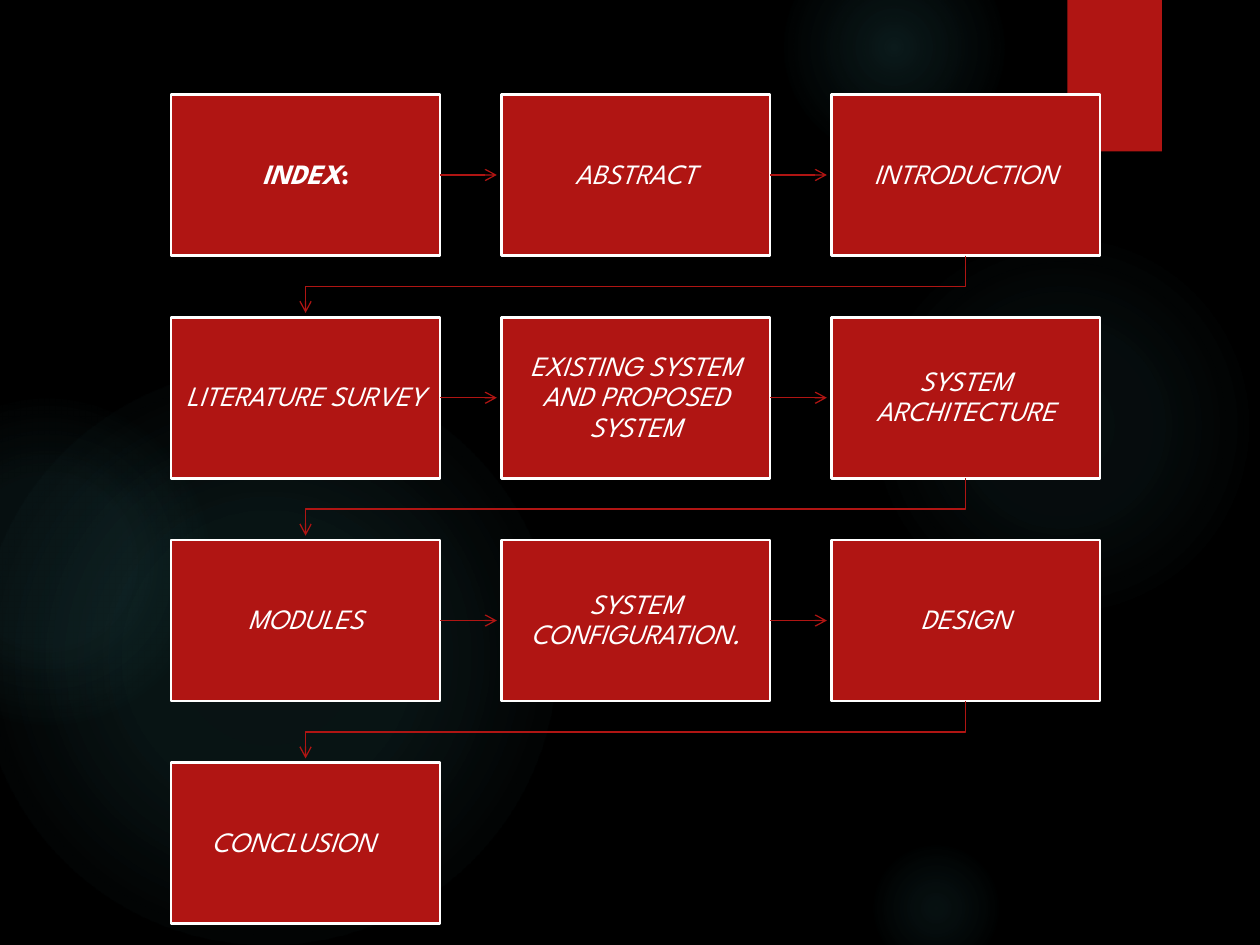
from lxml import etree
from pptx import Presentation
from pptx.dml.color import RGBColor
from pptx.enum.shapes import MSO_CONNECTOR, MSO_SHAPE
from pptx.enum.text import MSO_ANCHOR, PP_ALIGN
from pptx.oxml import parse_xml
from pptx.oxml.ns import nsdecls, qn
from pptx.util import Pt

RECTANGLE, OVAL = MSO_SHAPE.RECTANGLE, MSO_SHAPE.OVAL
STRAIGHT = MSO_CONNECTOR.STRAIGHT
MIDDLE, CENTER = MSO_ANCHOR.MIDDLE, PP_ALIGN.CENTER

COLORS = {"background": "000000", "red": "B01513", "white": "FFFFFF", "glow": "50B9C1"}
RED = RGBColor.from_string(COLORS["red"])
WHITE = RGBColor.from_string(COLORS["white"])


def write_text(shape, text, size=16, bold=False, upright_end="", shift=0):
    """Centre italic text in a shape; shift moves its centre to the left."""
    frame = shape.text_frame
    frame.word_wrap = True
    frame.vertical_anchor = MIDDLE
    frame.margin_left = Pt(7)
    frame.margin_right = Pt(7 + 2 * shift)
    frame.margin_top = frame.margin_bottom = Pt(8)
    paragraph = frame.paragraphs[0]
    paragraph.alignment = CENTER
    paragraph.line_spacing = 0.9
    for part, italic in ((text, True), (upright_end, False)):
        if part:
            run = paragraph.add_run()
            run.text = part
            run.font.name = "League Spartan"
            run.font.size = Pt(size)
            run.font.bold = bold
            run.font.italic = italic
            run.font.color.rgb = WHITE


def style_arrow(shape):
    """Give a line its red stroke and an open arrowhead at its end."""
    shape.line.color.rgb = RED
    shape.line.width = Pt(0.75)
    properties = shape._element.spPr
    etree.SubElement(properties.find(qn("a:ln")), qn("a:tailEnd"), type="arrow")
    if properties.find(qn("a:effectLst")) is None:
        etree.SubElement(properties, qn("a:effectLst"))


presentation = Presentation()
presentation.slide_width = Pt(720)
presentation.slide_height = Pt(540)
slide = presentation.slides.add_slide(presentation.slide_layouts[6])
shapes = slide.shapes
slide.background.fill.solid()
slide.background.fill.fore_color.rgb = RGBColor.from_string(COLORS["background"])

# Background glows: left, top, diameter, (position, opacity) stops in percent
glows = [
    (496, 132, 222, ((0, 7), (36, 6), (69, 0))),
    (448, -36, 126, ((0, 14), (36, 7), (73, 0))),
    (496, 480, 78, ((0, 9), (36, 5), (66, 0))),
    (-12, 210, 330, ((0, 11), (36, 10), (75, 0))),
    (-66, 228, 186, ((0, 8), (36, 8), (72, 0))),
]
for left, top, diameter, stops in glows:
    glow = shapes.add_shape(OVAL, Pt(left), Pt(top), Pt(diameter), Pt(diameter))
    glow.line.fill.background()
    glow.shadow.inherit = False
    stop_xml = "".join(
        f'<a:gs pos="{position * 1000}"><a:srgbClr val="{COLORS["glow"]}">'
        f'<a:alpha val="{opacity * 1000}"/></a:srgbClr></a:gs>'
        for position, opacity in stops
    )
    gradient = parse_xml(
        f'<a:gradFill {nsdecls("a")}><a:gsLst>{stop_xml}</a:gsLst><a:path path="circle">'
        '<a:fillToRect l="50000" t="50000" r="50000" b="50000"/></a:path></a:gradFill>'
    )
    glow._element.spPr.find(qn("a:prstGeom")).addnext(gradient)

# Corner ribbon
ribbon = shapes.add_shape(RECTANGLE, Pt(610), Pt(0), Pt(54), Pt(86.5))
ribbon.fill.solid()
ribbon.fill.fore_color.rgb = RED
ribbon.line.fill.background()
ribbon.shadow.inherit = False

# Flow of topics, three to a row
topics = [
    ("INDEX", {"bold": True, "upright_end": ":"}),
    ("ABSTRACT", {}),
    ("INTRODUCTION", {}),
    ("LITERATURE SURVEY", {}),
    ("EXISTING SYSTEM AND PROPOSED SYSTEM", {}),
    ("SYSTEM ARCHITECTURE", {}),
    ("MODULES", {}),
    ("SYSTEM CONFIGURATION.", {}),
    ("DESIGN", {}),
    ("CONCLUSION", {"shift": 7}),
]
COLUMNS = 3
LEFT, TOP = 97.8, 54
BOX_WIDTH, BOX_HEIGHT = 153.6, 92
STEP_X, STEP_Y = 188.6, 127.3
ARROW_GAP = 2.5

for index, (topic, text_format) in enumerate(topics):
    row, column = divmod(index, COLUMNS)
    left, top = LEFT + column * STEP_X, TOP + row * STEP_Y
    right, bottom = left + BOX_WIDTH, top + BOX_HEIGHT
    box = shapes.add_shape(RECTANGLE, Pt(left), Pt(top), Pt(BOX_WIDTH), Pt(BOX_HEIGHT))
    box.fill.solid()
    box.fill.fore_color.rgb = RED
    box.line.color.rgb = WHITE
    box.line.width = Pt(1.5)
    box.shadow.inherit = False
    write_text(box, topic, **text_format)

    if index == len(topics) - 1:
        continue
    if column < COLUMNS - 1:
        # Straight arrow to the next box
        middle = Pt(top + BOX_HEIGHT / 2)
        arrow = shapes.add_connector(
            STRAIGHT, Pt(right), middle, Pt(left + STEP_X - ARROW_GAP), middle
        )
    else:
        # Bent arrow to the start of the next row
        start_x, end_x = Pt(left + BOX_WIDTH / 2), Pt(LEFT + BOX_WIDTH / 2)
        bend_y = Pt((bottom + top + STEP_Y) / 2)
        builder = shapes.build_freeform(start_x, Pt(bottom))
        builder.add_line_segments(
            [(start_x, bend_y), (end_x, bend_y), (end_x, Pt(top + STEP_Y - ARROW_GAP))],
            close=False,
        )
        arrow = builder.convert_to_shape()
        arrow.fill.background()
    style_arrow(arrow)

presentation.save("out.pptx")
